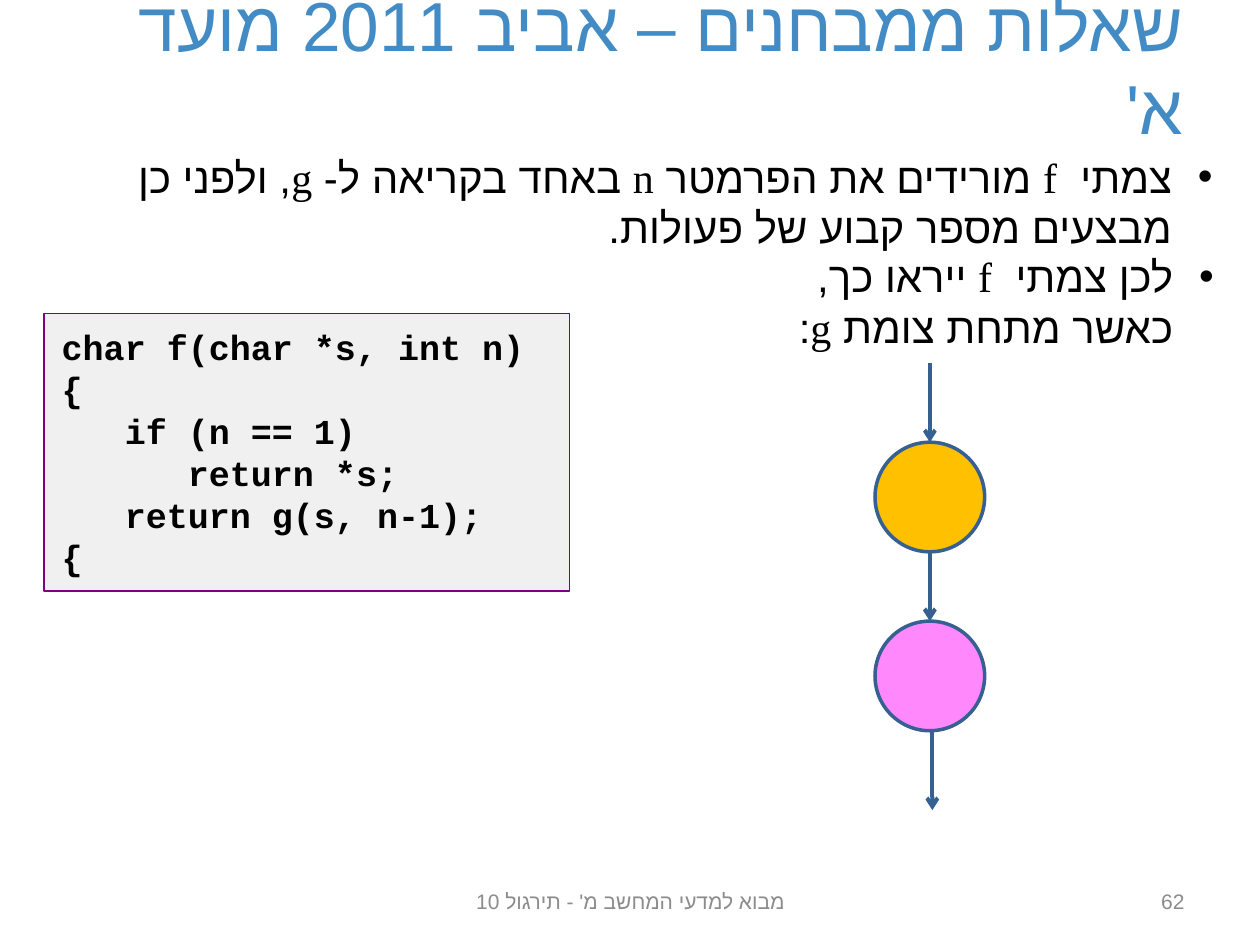
from lxml import etree
from pptx import Presentation
from pptx import util as u
from pptx.dml.color import RGBColor
from pptx.enum import shapes, text
from pptx.oxml.ns import qn

BLACK = RGBColor(0, 0, 0)
TITLE_BLUE = RGBColor(0x43, 0x8B, 0xC4)
GREY = RGBColor(0x8C, 0x8C, 0x8C)
NAVY = RGBColor(0x37, 0x60, 0x92)
PURPLE = RGBColor(0x80, 0, 0x80)
PALE = RGBColor(0xF0, 0xF0, 0xF0)
ORANGE = RGBColor(0xFF, 0xC0, 0)
PINK = RGBColor(0xFF, 0x89, 0xFC)

TITLE = "שאלות ממבחנים – אביב 2011 מועד א'"
POINTS = [
    ("צמתי  f מורידים את הפרמטר n באחד בקריאה ל- g, ולפני כן מבצעים מספר קבוע של פעולות.",
     (0, 1.15, 9.72, 0.91)),
    ("לכן צמתי  f ייראו כך, כאשר מתחת צומת g:", (6.18, 1.94, 3.55, 0.91)),
]
CODE = """char f(char *s, int n)
{
   if (n == 1)
      return *s;
   return g(s, n-1);
{"""
FOOTER = "מבוא למדעי המחשב מ' - תירגול 10"
PAGE = "62"

NODES = [ORANGE, PINK]
NODE_SIZE = 0.87
NODE_CENTER = 7.38
FIRST_NODE_TOP = 3.51
NODE_STEP = 1.42
OUTER_ARROW = 0.63

prs = Presentation()
prs.slide_width, prs.slide_height = u.Inches(10), u.Inches(7.5)
slide = prs.slides.add_slide(prs.slide_layouts[6])


def inches(values):
    return [u.Inches(v) for v in values]


def write(shape, content, size, font, color, bold=False, rtl=True,
          align=text.PP_ALIGN.RIGHT, anchor=text.MSO_ANCHOR.MIDDLE, bullet=None):
    frame = shape.text_frame
    frame.word_wrap = True
    frame.vertical_anchor = anchor
    for i, line in enumerate(content.split("\n")):
        paragraph = frame.add_paragraph() if i else frame.paragraphs[0]
        paragraph.alignment = align
        props = paragraph._p.get_or_add_pPr()
        if rtl:
            props.set("rtl", "1")
        if bullet:
            indent = u.Inches(0.32)
            props.set("marL", str(indent))
            props.set("marR", "0")
            props.set("indent", str(-indent))
            etree.SubElement(props, qn("a:buFont")).set("typeface", "Arial")
            etree.SubElement(props, qn("a:buChar")).set("char", bullet)
        run = paragraph.add_run()
        run.text = line
        run.font.size, run.font.bold = u.Pt(size), bold
        run.font.color.rgb = color
        run.font.name = font
        if rtl:  # Hebrew letters take the complex-script font
            etree.SubElement(run._r.get_or_add_rPr(), qn("a:cs")).set("typeface", "Arial")


def add_text(content, at, **style):
    write(slide.shapes.add_textbox(*inches(at)), content, **style)


def add_box(kind, at, fill, line, width):
    box = slide.shapes.add_shape(kind, *inches(at))
    box.shadow.inherit = False
    box.fill.solid()
    box.fill.fore_color.rgb = fill
    box.line.color.rgb = line
    box.line.width = u.Pt(width)
    return box


def add_down_arrow(x, top, bottom):
    arrow = slide.shapes.add_connector(
        shapes.MSO_CONNECTOR.STRAIGHT, *inches((x, top, x, bottom)))
    arrow.line.color.rgb = NAVY
    arrow.line.width = u.Pt(2.25)
    etree.SubElement(arrow.line._get_or_add_ln(), qn("a:tailEnd")).set("type", "arrow")
    etree.SubElement(arrow._element.spPr, qn("a:effectLst"))


add_text(TITLE, (0.75, -0.11, 8.74, 1.25), size=39.6, font="Arial", color=TITLE_BLUE)
for point, at in POINTS:
    add_text(point, at, size=24, font="Times New Roman", color=BLACK,
             anchor=text.MSO_ANCHOR.TOP, bullet="•")
add_text(FOOTER, (3.42, 6.95, 3.17, 0.4), size=12, font="Calibri", color=GREY,
         align=text.PP_ALIGN.CENTER)
add_text(PAGE, (7.17, 6.95, 2.33, 0.4), size=12, font="Calibri", color=GREY)

code_box = add_box(shapes.MSO_SHAPE.RECTANGLE, (0.35, 2.49, 4.17, 2.2), PALE, PURPLE, 0.75)
code_frame = code_box.text_frame
code_frame.margin_left = code_frame.margin_right = u.Inches(0.14)
code_frame.margin_top = code_frame.margin_bottom = u.Inches(0.09)
write(code_box, CODE, size=20, font="Courier New", color=BLACK, bold=True, rtl=False,
      align=text.PP_ALIGN.LEFT, anchor=text.MSO_ANCHOR.TOP)

arrow_start = FIRST_NODE_TOP - OUTER_ARROW
for i, fill in enumerate(NODES):
    top = FIRST_NODE_TOP + i * NODE_STEP
    add_box(shapes.MSO_SHAPE.OVAL,
            (NODE_CENTER - NODE_SIZE / 2, top, NODE_SIZE, NODE_SIZE), fill, NAVY, 2)
    add_down_arrow(NODE_CENTER, arrow_start, top)
    arrow_start = top + NODE_SIZE
add_down_arrow(NODE_CENTER + 0.02, arrow_start, arrow_start + OUTER_ARROW)

prs.save("out.pptx")
